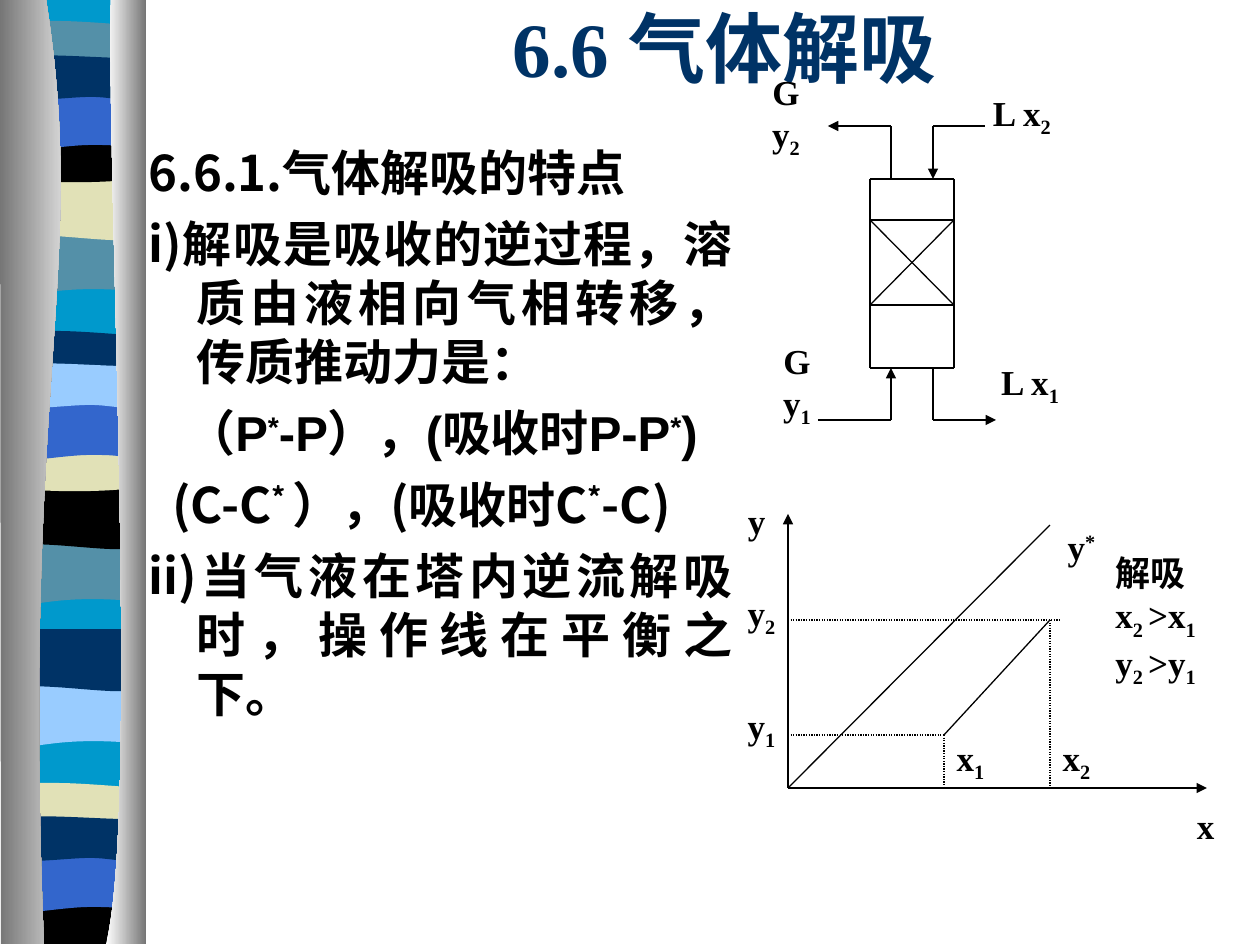
import pptx
import pptx.util
import pptx.dml.color
import pptx.enum.dml
import pptx.enum.shapes
import pptx.enum.text
import pptx.oxml
import pptx.oxml.ns
from dataclasses import dataclass

ALIGN = pptx.enum.text.PP_ALIGN
ANCHOR = pptx.enum.text.MSO_ANCHOR
FIT = pptx.enum.text.MSO_AUTO_SIZE


@dataclass(frozen=True)
class Theme:
    ink: str = "000000"
    navy: str = "003366"
    blue: str = "3366CC"
    teal: str = "0099CC"
    slate: str = "5490A8"
    sand: str = "E1E1B7"
    sky: str = "99CCFF"
    dark: str = "767676"
    light: str = "FFFFFF"
    serif: str = "Times New Roman"
    sans: str = "Arial"
    han: str = "Noto Sans CJK SC"
    head: int = 44
    body: int = 28
    note: int = 20
    rule: float = 0.75


T = Theme()
SUB, SUP = -25, 30

# Band outlines: a pair is a line, six numbers are a Bezier curve
BOWL = (0, 0), (83, 6, 107, 0, 136, 0)
FORMS = {
    "full": [(136, 0), (136, 943), (0, 943), (0, 0)],
    "fall": [(136, 0), (136, 59), (41, 49, 22, 69, 0, 59), (0, 0)],
    "sag": [(136, 0), (136, 59), (113, 69, 41, 52, 0, 59), (0, 0)],
    "strip": [(136, 6), (136, 36), (113, 42, 22, 42, 0, 36), (0, 6),
              (7, 0, 29, 1, 51, 1), (74, 1, 118, 5, 136, 6)],
    "bowl": [(136, 0), (136, 41), (113, 48, 22, 48, 0, 41), *BOWL],
    "arch": [(136, 0), (136, 59), (114, 52, 105, 52, 83, 52),
             (60, 52, 20, 59, 0, 59), (0, 0)],
    "wave": [(136, 6), (136, 45), (127, 52, 105, 45, 83, 45),
             (60, 45, 13, 52, 0, 45), (0, 6), (18, 0, 91, 6, 114, 6),
             (137, 6, 132, 6, 136, 6)],
    "foot": [(136, 0), (136, 47), (0, 47), *BOWL],
}
BANDS = [
    ("full", 8, -1, T.teal),
    ("fall", 8, 233, T.slate), ("sag", 8, 178, T.sand),
    ("strip", 8, 20, T.slate), ("bowl", 8, 136, T.ink),
    ("arch", 8, 93, T.blue), ("wave", 8, 52, T.navy),
    ("fall", 7, 543, T.slate), ("sag", 7, 487, T.ink),
    ("strip", 7, 330, T.navy), ("bowl", 7, 445, T.sand),
    ("arch", 7, 403, T.blue), ("wave", 7, 360, T.sky),
    ("fall", 8, 685, T.sky), ("sag", 8, 629, T.navy),
    ("strip", 7, 782, T.sand), ("foot", 7, 897, T.ink),
    ("arch", 7, 855, T.blue), ("wave", 7, 813, T.navy),
]


def px(n):
    return round(n * 914400 / 126)


def rgb(code):
    return pptx.dml.color.RGBColor.from_string(code)


def area(slide, x, y, form, *fills):
    """Closed outline with one colour, or two for a sideways gradient."""
    spots, bends = [], []
    for part in form:
        if len(part) == 6:
            bends.append(len(spots) - 1)
        spots += [(px(x + a), px(y + b)) for a, b in zip(part[::2], part[1::2])]
    pen = slide.shapes.build_freeform(*spots[0], scale=1.0)
    pen.add_line_segments(spots[1:], close=True)
    shape = pen.convert_to_shape()
    # Join three corners into each curve
    legs = shape._element.xpath(".//a:lnTo")
    for i in bends:
        legs[i].tag = pptx.oxml.ns.qn("a:cubicBezTo")
        for leg in legs[i + 1:i + 3]:
            legs[i].append(leg[0])
            leg.getparent().remove(leg)
    shape.shadow.inherit = False
    shape.line.fill.background()
    if len(fills) == 1:
        shape.fill.solid()
        shape.fill.fore_color.rgb = rgb(fills[0])
    else:
        shape.fill.gradient()
        shape.fill.gradient_angle = 0
        for i, (stop, code) in enumerate(zip(shape.fill.gradient_stops, fills)):
            stop.position = i
            stop.color.rgb = rgb(code)


def write(frame, paras, size=T.note, font=T.serif, color=T.ink, align=ALIGN.LEFT,
          anchor=ANCHOR.MIDDLE, wrap=True, gap=0, lead=None, hang=0):
    """Each paragraph is (runs, format); a run is text or (text, baseline)."""
    frame.word_wrap = wrap
    frame.auto_size = FIT.NONE if wrap else FIT.SHAPE_TO_FIT_TEXT
    frame.vertical_anchor = anchor
    frame.margin_left = frame.margin_right = pptx.util.Inches(0.1)
    frame.margin_top = frame.margin_bottom = pptx.util.Inches(0.05)
    for i, (runs, own) in enumerate(paras):
        para = frame.add_paragraph() if i else frame.paragraphs[0]
        para.alignment = own.get("align", align)
        para.space_before = pptx.util.Pt(gap if i else 0)
        para.line_spacing = pptx.util.Pt(lead) if lead else None
        props = para._p.get_or_add_pPr()
        props.set("hangingPunct", "0")
        props.set("marL", str(px(hang)))
        props.set("indent", str(px(own.get("indent", -hang))))
        for item in runs:
            words, base = (item, 0) if isinstance(item, str) else item
            run = para.add_run()
            run.text = words
            run.font.size = pptx.util.Pt(size)
            run.font.bold = True
            run.font.name = own.get("font", font)
            run.font.color.rgb = rgb(color)
            props = run._r.get_or_add_rPr()
            if base:
                props.set("baseline", str(base * 1000))
            props.find(pptx.oxml.ns.qn("a:latin")).addnext(pptx.oxml.parse_xml(
                f'<a:ea {pptx.oxml.ns.nsdecls("a")} typeface="{T.han}"/>'))


def text(slide, box, paras, **fmt):
    write(slide.shapes.add_textbox(*map(px, box)).text_frame, paras, **fmt)


def label(slide, x, y, wide, *runs):
    text(slide, (x, y, wide, 60 if len(runs) > 1 else 55), [(runs, {})],
         align=ALIGN.CENTER, wrap=False)


def line(slide, *ends, arrow=False, dots=False):
    kind = pptx.enum.shapes.MSO_CONNECTOR.STRAIGHT
    shape = slide.shapes.add_connector(kind, *map(px, ends))
    shape.line.color.rgb = rgb(T.ink)
    shape.line.width = pptx.util.Pt(T.rule)
    if dots:
        shape.line.dash_style = pptx.enum.dml.MSO_LINE.ROUND_DOT
    space = pptx.oxml.ns.nsdecls("a")
    if arrow:
        shape.line._get_or_add_ln().append(
            pptx.oxml.parse_xml(f'<a:tailEnd {space} type="triangle"/>'))
    shape._element.spPr.append(pptx.oxml.parse_xml(f"<a:effectLst {space}/>"))


def pipe(slide, start, bend, end):
    line(slide, *start, *bend)
    line(slide, *bend, *end, arrow=True)


def border(slide):
    for form, x, y, code in BANDS:
        area(slide, x, y, FORMS[form], code)
    # Shaded columns on both sides
    area(slide, 0, -1, [(46, 0), (89, 273, 21, 374, 44, 945), (1, 945), (0, 0)],
         T.dark, T.light)
    area(slide, 0, -1, [(111, 0), (106, 159, 140, 815, 106, 945), (146, 945),
                        (146, 1)], T.light, T.dark)


def words(slide):
    title = slide.shapes.title
    title.left, title.top, title.width, title.height = map(px, (189, 0, 1071, 94))
    write(title.text_frame, [(["6.6 气体解吸"], {})], size=T.head,
          color=T.navy, align=ALIGN.CENTER)
    star = ("*", SUP)
    text(slide, (136, 136, 609, 735), [
        (["6.6.1.气体解吸的特点"], {"align": ALIGN.LEFT}),
        (["i)解吸是吸收的逆过程，溶质由液相向气相转移，传质推动力是："], {}),
        (["（P", star, "-P），(吸收时P-P", star, ")"],
         {"font": T.sans, "indent": -10}),
        (["(C-C", ("* ", SUP), "），(吸收时C", star, "-C)"], {"indent": -24}),
        (["ii)当气液在塔内逆流解吸时，操作线在平衡之下。"], {}),
    ], size=T.body, font=T.han, align=ALIGN.JUSTIFY, anchor=ANCHOR.TOP,
        gap=7, lead=33.7, hang=48)


def tower(slide):
    left, right, top, foot = 870, 954, 179, 368
    gas, fluid = 891, 933
    # Shell and packing
    for y in (top, 220, 305, foot):
        line(slide, left, y, right, y)
    for x in (left, right):
        line(slide, x, top, x, foot)
        line(slide, x, 220, left + right - x, 305)
    # Streams
    pipe(slide, (gas, top), (gas, 126), (828, 126))
    pipe(slide, (985, 126), (fluid, 126), (fluid, top))
    pipe(slide, (818, 420), (gas, 420), (gas, foot))
    pipe(slide, (fluid, foot), (fluid, 420), (996, 420))
    for x, y, name, mark in ((742, 85, "G y", "2"), (978, 85, "L x", "2"),
                             (753, 354, "G y", "1"), (986, 354, "L x", "1")):
        label(slide, x, y, 88, name, (mark, SUB))


def plot(slide):
    x0, y0, x1, x2, y1, y2 = 788, 788, 944, 1050, 735, 620
    # Axes, equilibrium line and operating line
    line(slide, x0, y0, 1207, y0, arrow=True)
    line(slide, x0, y0, x0, 514, arrow=True)
    line(slide, x0, y0, x2, 525)
    line(slide, x2, y2, x1, y1)
    # Guides
    for ends in ((x0, y2, 1060, y2), (x0, y1, x1, y1),
                 (x1, y1, x1, y0), (x2, y2, x2, y0)):
        line(slide, *ends, dots=True)
    # Labels
    label(slide, 735, 493, 43, "y")
    label(slide, 1184, 798, 43, "x")
    for x, y, name, mark, base in (
            (735, 585, "y", "2", SUB), (735, 698, "y", "1", SUB),
            (944, 730, "x", "1", SUB), (1050, 730, "x", "2", SUB),
            (1055, 516, "y", "*", SUP)):
        label(slide, x, y, 53, name, (mark, base))
    pairs = [([c, ("2 ", SUB), ">" + c, ("1", SUB)], {}) for c in "xy"]
    text(slide, (1103, 540, 157, 160), [(["解吸"], {})] + pairs)


def main():
    deck = pptx.Presentation()
    deck.slide_width, deck.slide_height = px(1260), px(945)
    slide = deck.slides.add_slide(deck.slide_layouts[5])
    for build in (border, words, tower, plot):
        build(slide)
    deck.save("out.pptx")


if __name__ == "__main__":
    main()
